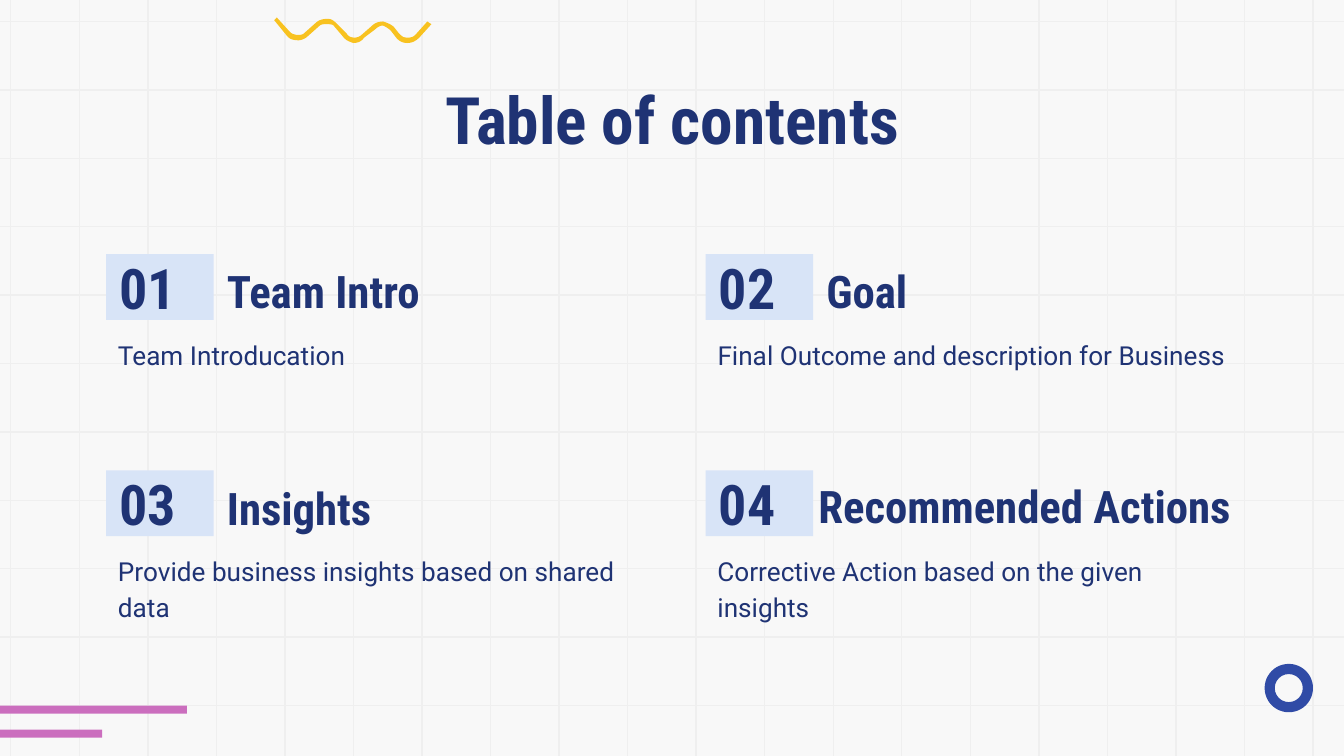
"""Build the table of contents slide with four numbered topics."""
from lxml.etree import SubElement
from pptx import Presentation
from pptx.dml.color import RGBColor
from pptx.enum.shapes import MSO_CONNECTOR, MSO_SHAPE
from pptx.enum.text import MSO_ANCHOR, PP_ALIGN
from pptx.oxml.ns import qn
from pptx.util import Inches, Pt

NAVY = "1F3374"
HEAD = "Roboto Condensed"
BODY = "Roboto"


def paint(fill, code):
    fill.solid()
    fill.fore_color.rgb = RGBColor.from_string(code)


def write(shape, text, size=14, face=BODY, bold=False, space=None,
          align=PP_ALIGN.LEFT, anchor=MSO_ANCHOR.TOP):
    frame = shape.text_frame
    frame.word_wrap = True
    frame.vertical_anchor = anchor
    frame.margin_left = frame.margin_right = Inches(0.1)
    frame.margin_top = frame.margin_bottom = Inches(0.1)
    para = frame.paragraphs[0]
    para.alignment = align
    para.line_spacing = space
    run = para.add_run()
    run.text = text
    run.font.size = Pt(size)
    run.font.name = face
    run.font.bold = bold
    paint(run.font.fill, NAVY)


deck = Presentation()
deck.slide_width = Inches(10)
deck.slide_height = Inches(10 * 9 / 16)
slide = deck.slides.add_slide(deck.slide_layouts[6])
paint(slide.background.fill, "F8F8F8")
shapes = slide.shapes

rows = [0.16 + (5.25 - 0.16) / 10 * i for i in range(11)]
cols = [0.08 + (9.77 - 0.08) / 19 * i for i in range(20)]
grid = [(10, y, 0, y) for y in rows] + [(x, -0.18, x, 5.8) for x in cols]
for ends in grid:
    rule = shapes.add_connector(MSO_CONNECTOR.STRAIGHT, *map(Inches, ends))
    rule.line.width = Pt(0.75)
    paint(rule.line.fill, "EFEFEF")
    SubElement(rule._element.spPr, qn("a:effectLst"))

decor = []
for top, width in [(5.25, 1.39), (5.43, 0.76)]:
    bar = shapes.add_shape(MSO_SHAPE.RECTANGLE, 0, Inches(top),
                           Inches(width), Inches(0.06))
    decor.append((bar, "CB6EBE"))

ring = shapes.add_shape(MSO_SHAPE.DONUT, Inches(9.41), Inches(4.94),
                        Inches(0.36), Inches(0.36))
ring.adjustments[0] = 0.21
decor.append((ring, "304BA6"))

curve = [
    (2.04, 0.15), (2.13, 0.26),
    (2.15, 0.29, 2.18, 0.3, 2.22, 0.3), (2.24, 0.3, 2.27, 0.29, 2.29, 0.27),
    (2.38, 0.19),
    (2.39, 0.18, 2.41, 0.18, 2.43, 0.18), (2.46, 0.18, 2.48, 0.18, 2.49, 0.2),
    (2.55, 0.27),
    (2.57, 0.3, 2.6, 0.31, 2.63, 0.32), (2.66, 0.32, 2.69, 0.31, 2.71, 0.28),
    (2.79, 0.22),
    (2.81, 0.2, 2.83, 0.19, 2.85, 0.19), (2.87, 0.2, 2.89, 0.21, 2.91, 0.23),
    (2.94, 0.27),
    (2.96, 0.3, 2.99, 0.32, 3.03, 0.32), (3.06, 0.32, 3.09, 0.31, 3.12, 0.28),
    (3.21, 0.18), (3.18, 0.16), (3.09, 0.26),
    (3.07, 0.28, 3.05, 0.28, 3.03, 0.28), (3, 0.28, 2.99, 0.27, 2.97, 0.25),
    (2.93, 0.2),
    (2.91, 0.18, 2.88, 0.17, 2.85, 0.16), (2.82, 0.16, 2.79, 0.17, 2.77, 0.19),
    (2.69, 0.26),
    (2.68, 0.27, 2.66, 0.28, 2.64, 0.28), (2.61, 0.28, 2.59, 0.27, 2.58, 0.25),
    (2.51, 0.18),
    (2.49, 0.16, 2.47, 0.14, 2.44, 0.14), (2.4, 0.14, 2.37, 0.15, 2.35, 0.17),
    (2.26, 0.25),
    (2.25, 0.26, 2.23, 0.26, 2.22, 0.26), (2.19, 0.26, 2.17, 0.25, 2.16, 0.24),
]
dots = [(2.06, 0.13)]
for part in curve:
    if len(part) == 2:
        dots.append(part)
        continue
    knots = [dots[-1], part[:2], part[2:4], part[4:]]
    for t in [0.2, 0.4, 0.6, 0.8, 1]:
        mix = [(1 - t) ** 3, 3 * t * (1 - t) ** 2, 3 * t * t * (1 - t), t ** 3]
        dots.append(tuple(sum(m * k[i] for m, k in zip(mix, knots))
                          for i in range(2)))
dots = [(Inches(x), Inches(y)) for x, y in dots]
pen = shapes.build_freeform(*dots[0])
pen.add_line_segments(dots[1:], close=True)
decor.append((pen.convert_to_shape(), "F8C220"))

title = shapes.add_textbox(Inches(0.79), Inches(0.49), Inches(8.43), Inches(0.63))
write(title, "Table of contents", size=35, face=HEAD, bold=True,
      align=PP_ALIGN.CENTER)

topics = [
    ("Team Intro", "Team Introducation", 1.59, 1.89, 3.16, 3.97),
    ("Goal", "Final Outcome and description for Business",
     6.05, 1.89, 3.16, 4.32),
    ("Insights", "Provide business insights based on shared data",
     1.59, 3.5, 3.41, 3.97),
    ("Recommended Actions", "Corrective Action based on the given insights",
     5.99, 3.49, 3.95, 3.97),
]
for i, (name, note, start, high, wide, span) in enumerate(topics):
    left = 0.79 + 4.46 * (i % 2)
    top = 1.89 + 1.61 * (i // 2)
    tile = shapes.add_shape(MSO_SHAPE.RECTANGLE, Inches(left), Inches(top),
                            Inches(0.8), Inches(0.49))
    decor.append((tile, "D8E4F7"))
    write(tile, f"{i + 1:02}", size=30, face=HEAD, bold=True,
          anchor=MSO_ANCHOR.MIDDLE)
    label = shapes.add_textbox(Inches(start), Inches(high), Inches(wide),
                               Inches(0.49))
    write(label, name, size=24, face=HEAD, bold=True, space=1.15,
          anchor=MSO_ANCHOR.MIDDLE)
    detail = shapes.add_textbox(Inches(left - 0.01), Inches(top + 0.5),
                                Inches(span), Inches(0.4))
    write(detail, note, space=1.15)

for shape, code in decor:
    paint(shape.fill, code)
    shape.line.fill.background()
    shape.shadow.inherit = False

deck.save("out.pptx")
